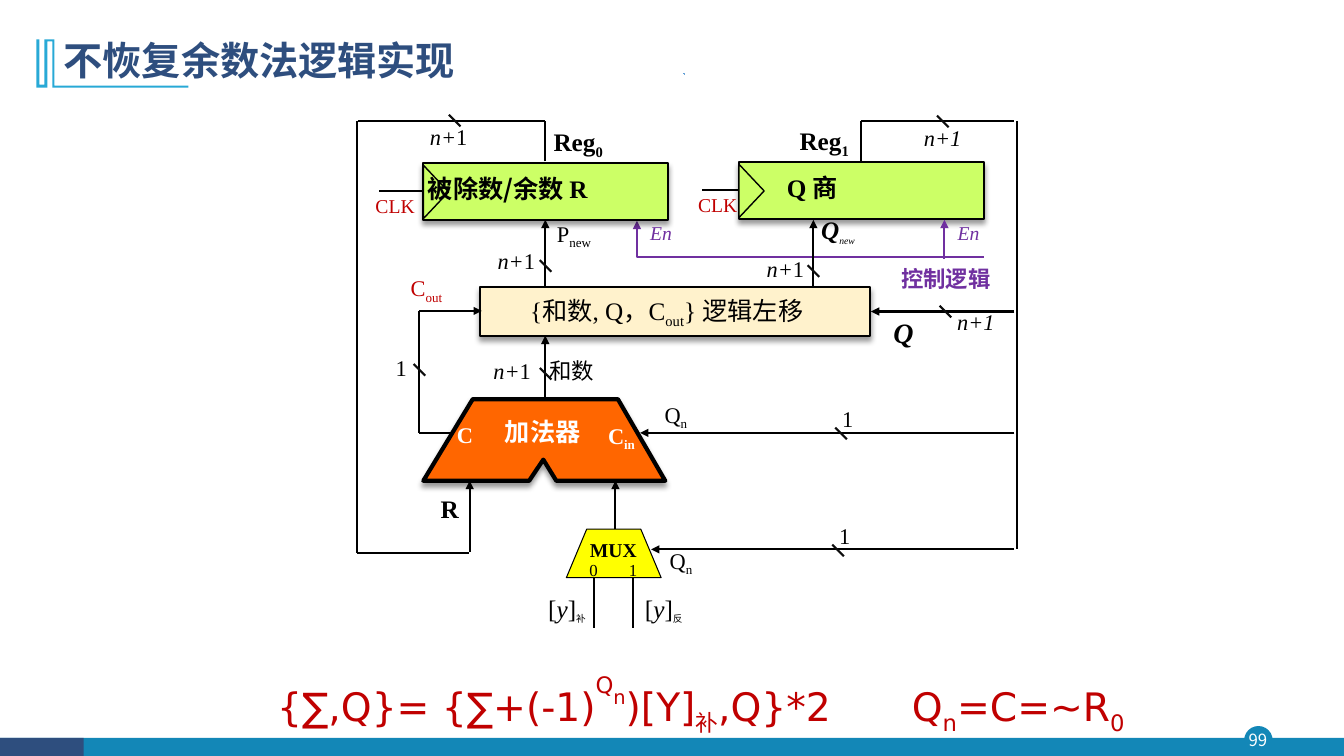
from dataclasses import dataclass
from typing import NamedTuple, Optional

from lxml.etree import SubElement
from pptx import Presentation
from pptx.dml.color import RGBColor
from pptx.enum.shapes import MSO_CONNECTOR, MSO_SHAPE
from pptx.enum.text import MSO_ANCHOR, PP_ALIGN
from pptx.oxml.ns import qn
from pptx.util import Pt

COLORS = {"black": "000000", "tick": "0D0D0D", "white": "FFFFFF", "red": "C00000",
          "purple": "7030A0", "navy": "2E4E7E", "teal": "1387B7", "sky": "28A9D6",
          "dot": "5B9BD5", "lime": "CCFF66", "cream": "FFF2CC", "orange": "FF6600",
          "yellow": "FFFF00"}
SERIF, CJK, SANS = "Times New Roman", "Noto Sans CJK SC", "DejaVu Sans"


class Run(NamedTuple):
    text: str
    style: str = ""  # "b" bold, "i" italic
    base: int = 0  # baseline shift in percent
    size: Optional[float] = None
    font: Optional[str] = None


@dataclass
class Label:
    x: float
    y: float
    runs: list
    size: float = 16
    color: str = "black"
    w: float = 46
    h: float = 22
    font: str = SERIF
    align: PP_ALIGN = PP_ALIGN.LEFT
    spacing: float = 1


@dataclass
class Wire:
    x1: float
    y1: float
    x2: float
    y2: float
    arrow: bool = False
    color: str = "black"


@dataclass
class Register:
    x: float
    y: float
    clk_x: float
    inset: float
    runs: list
    marker_fill: Optional[str] = None


def rgb(name: str) -> RGBColor:
    return RGBColor.from_string(COLORS[name])


def add_runs(p, runs: list, size: float, color: str, font: str) -> None:
    for run in runs:
        r = p.add_run()
        r.text = run.text
        f = r.font
        f.name, f.size = run.font or font, Pt(run.size or size)
        f.bold, f.italic = "b" in run.style, "i" in run.style
        f.color.rgb = rgb(color)
        rPr = r._r.get_or_add_rPr()
        SubElement(rPr, qn("a:ea")).set("typeface", CJK)
        if run.base:
            rPr.set("baseline", str(run.base * 1000))


def set_insets(tf, left: float = 0) -> None:
    tf.margin_left, tf.margin_right = Pt(left), 0
    tf.margin_top = tf.margin_bottom = 0


def add_label(shapes, lb: Label):
    tf = shapes.add_textbox(Pt(lb.x), Pt(lb.y), Pt(lb.w), Pt(lb.h)).text_frame
    tf.word_wrap = True
    set_insets(tf)
    p = tf.paragraphs[0]
    p.alignment, p.line_spacing = lb.align, lb.spacing
    add_runs(p, lb.runs, lb.size, lb.color, lb.font)
    return p


def paint(sp, fill: Optional[str], line: Optional[str] = None, width: float = 1.5,
          shadow: bool = False) -> None:
    sp.shadow.inherit = False
    if fill:
        sp.fill.solid()
        sp.fill.fore_color.rgb = rgb(fill)
    else:
        sp.fill.background()
    if line:
        sp.line.color.rgb, sp.line.width = rgb(line), Pt(width)
    else:
        sp.line.fill.background()
    if shadow:
        effects = sp._element.spPr.find(qn("a:effectLst"))
        outer = SubElement(effects, qn("a:outerShdw"), blurRad=str(Pt(4)),
                           dist=str(Pt(3)), dir="5400000", rotWithShape="0")
        clr = SubElement(outer, qn("a:srgbClr"), val=COLORS["black"])
        SubElement(clr, qn("a:alpha"), val="40000")


def add_block(shapes, kind, x: float, y: float, w: float, h: float, *style, **options):
    sp = shapes.add_shape(kind, Pt(x), Pt(y), Pt(w), Pt(h))
    paint(sp, *style, **options)
    return sp


def add_outline(shapes, points: list, close: bool = True):
    pts = [(Pt(x), Pt(y)) for x, y in points]
    builder = shapes.build_freeform(*pts[0], scale=1.0)
    builder.add_line_segments(pts[1:], close=close)
    return builder.convert_to_shape()


def add_arrowhead(sp, end: str) -> None:
    SubElement(sp.line._get_or_add_ln(), qn(f"a:{end}"), type="triangle")


def add_wire(shapes, wire: Wire, kind=MSO_CONNECTOR.STRAIGHT, width: float = 1.5) -> None:
    cn = shapes.add_connector(kind, Pt(wire.x1), Pt(wire.y1), Pt(wire.x2), Pt(wire.y2))
    cn.line.color.rgb, cn.line.width = rgb(wire.color), Pt(width)
    if wire.arrow:
        add_arrowhead(cn, "tailEnd")
    SubElement(cn._element.spPr, qn("a:effectLst"))


def add_register(shapes, reg: Register) -> None:
    """Draw a register box with its clock marker, clock wire and CLK label."""
    sp = add_block(shapes, MSO_SHAPE.RECTANGLE, reg.x, reg.y, 175, 40.3, "lime", "black",
                   shadow=True)
    tf = sp.text_frame
    set_insets(tf, reg.inset)
    tf.vertical_anchor = MSO_ANCHOR.MIDDLE
    p = tf.paragraphs[0]
    p.alignment, p.line_spacing = PP_ALIGN.JUSTIFY, 0.8
    add_runs(p, reg.runs, 18, "black", SERIF)
    marker = add_block(shapes, MSO_SHAPE.ISOSCELES_TRIANGLE, reg.x - 10.1, reg.y + 11.5,
                       38.2, 18, reg.marker_fill, "black", 1)
    marker.rotation = 90
    add_wire(shapes, Wire(reg.x, reg.y + 20, reg.clk_x, reg.y + 20))
    add_label(shapes, Label(reg.clk_x - 2.5, reg.y + 22.2, [Run("CLK")], 14, "red"))


REGISTERS = [
    Register(527.8, 115.9, 501.1, 34.3, [Run("Q ", "b"), Run("商", "b", font=CJK)], "lime"),
    Register(302.4, 116.6, 270.7, 3.3, [Run("被除数/余数 ", "b", font=CJK), Run("R", "b")]),
]
WIRES = [
    Wire(674.6, 185, 674.6, 157, True, "purple"),
    # results into the registers
    Wire(389.5, 205.2, 389.5, 157, True), Wire(581, 205.2, 581, 157, True),
    # Reg0 feedback to the adder
    Wire(389.5, 115.2, 389.5, 86.4), Wire(255.6, 86.4, 389.5, 86.4),
    Wire(254.9, 86.4, 254.9, 395.3), Wire(334.8, 395.3, 254.9, 395.3),
    Wire(335.5, 394.6, 335.5, 343.4, True),
    # sum, shifted quotient, multiplexer
    Wire(389.5, 285.1, 389.5, 239.8, True), Wire(724.6, 222.5, 622.1, 222.5, True),
    Wire(439.6, 378, 439.6, 343.4, True),
    Wire(424.1, 412.6, 424.1, 448.6), Wire(452.2, 412.6, 452.2, 448.6),
    # carry in and carry out
    Wire(724.6, 309.2, 457.2, 309.2, True), Wire(299.5, 222.1, 344.2, 222.1, True),
    Wire(299.5, 222.1, 299.5, 309.2), Wire(322.6, 309.2, 299.5, 309.2),
    # Reg1 feedback
    Wire(614.9, 86.4, 724.6, 86.4), Wire(726.5, 86.4, 726.5, 392.4),
    Wire(724.6, 392.4, 465.1, 392.4, True), Wire(614.9, 115.2, 614.9, 86.4),
]
TICK = 8.3
TICKS = [(385.6, 185.8), (576.9, 189.4), (320.6, 82), (385.6, 262.8), (671.2, 218.4),
         (596.6, 305.5), (295.4, 260), (669.3, 82.6), (594.5, 389)]

BITS = [Run("n+", "i"), Run("1")]
BITS_ITALIC = [Run("n+1", "i")]
QN = [Run("Q"), Run("n", base=-25)]
CENTERED = {"align": PP_ALIGN.CENTER, "spacing": 0.8}
LABELS = [
    Label(325.4, 213.1, [Run("{和数, Q，C"), Run("out", base=-25), Run("} 逻辑左移")], 18,
          w=301.7, **CENTERED),
    Label(620.6, 193, [Run("控制逻辑", "b")], 16, "purple", 110.2, 36, CJK, **CENTERED),
    Label(464.4, 157.7, [Run("En", "i")], 14, "purple"),
    Label(684, 157.7, [Run("En", "i")], 14, "purple"),
    Label(571.1, 89.3, [Run("Reg", "b"), Run("1", "b", -25)], 18, w=54),
    Label(395.4, 90, [Run("Reg", "b"), Run("0", "b", -25)], 18, w=54),
    Label(355.4, 176.4, BITS), Label(547.6, 182.2, BITS), Label(307.1, 87.8, BITS),
    Label(352.5, 254.9, BITS),
    Label(683.7, 220.3, BITS_ITALIC), Label(659.9, 88.6, BITS_ITALIC),
    Label(397.8, 157, [Run("P"), Run("new", base=-25)]),
    Label(586.5, 153.4, [Run("Q", "bi", size=18), Run("new", "i", -25, 12)]),
    Label(314.8, 352.1, [Run("R", "b")], 18),
    Label(392.5, 254.9, [Run("和数")]),
    Label(620.6, 229.7, [Run("Q", "bi")], 20, w=49.7, h=30, **CENTERED),
    Label(474.7, 286.2, QN), Label(478.3, 390.6, QN),
    Label(601.6, 289.4, [Run("1")]), Label(599.4, 373, [Run("1")]),
    Label(282.6, 252.7, [Run("1")]),
    Label(293.4, 195.8, [Run("C"), Run("out", base=-25)], color="red"),
]
ADDER_LABELS = [
    Label(360.7, 297.4, [Run("加法器", "b")], 18, "white", 60, font=CJK),
    Label(434.3, 301.3, [Run("C", "b"), Run("in", "b", -25)], 16, "white", 32),
    Label(326.3, 301, [Run("C", "b")], 16, "white", 20),
]
MUX_LABELS = [Label(414, 387.4, [Run("MUX", "b")], 14, w=48.2, **CENTERED)]
for digit, digit_x, form, operand_x in [("0", 414.7, "补", 380.2), ("1", 442.8, "反", 449.3)]:
    MUX_LABELS += [
        Label(digit_x, 402.5, [Run(digit)], 12, w=18.7, h=18, **CENTERED),
        Label(operand_x, 427.7, [Run("["), Run("y", "i"), Run("]"), Run(form, "", -25, 12)],
              18, w=49.7, h=30, **CENTERED),
    ]
FORMULA = Label(198, 470.2, [
    Run("{∑,Q}= {∑+(-1)"), Run("Q", base=70), Run("n", base=50, size=24), Run(")[Y]"),
    Run("补", base=-25), Run(",Q}*2\tQ"), Run("n", base=-25), Run("=C=~R"),
    Run("0", base=-25)], 28, "red", 675, 41, SANS, spacing=1.2)

BRACKET = [(38.9, 28.1), (38.9, 61.2), (134.6, 61.2), (134.6, 62.6), (37.4, 62.6),
           (37.4, 29.5), (33.8, 29.5), (33.8, 62.6), (25.9, 62.6), (25.9, 28.1),
           (28.1, 28.1), (28.1, 60.5), (31.7, 60.5), (31.7, 28.1)]
ADDER = [(302.4, 343.4), (337.7, 285.1), (441.4, 285.1), (475.2, 343.4), (397.4, 343.4),
         (388.1, 328.3), (378, 343.4)]


def add_frame(slide) -> None:
    shapes = slide.shapes
    add_block(shapes, MSO_SHAPE.OVAL, 889.2, 519.1, 19.4, 19.4, "teal", "teal", 1)
    add_block(shapes, MSO_SHAPE.RECTANGLE, 0, 527, 960, 13, "teal")
    add_block(shapes, MSO_SHAPE.RECTANGLE, 0, 527, 59.8, 13, "navy")
    add_label(shapes, Label(887, 521.3, [Run("99")], 12, "white", 23, 18, CJK,
                            PP_ALIGN.CENTER))
    paint(add_outline(shapes, BRACKET), "sky")
    title = shapes.title
    title.left, title.top, title.width, title.height = Pt(38.2), Pt(20.2), Pt(828), Pt(49)
    title.text_frame.vertical_anchor = MSO_ANCHOR.MIDDLE
    p = title.text_frame.paragraphs[0]
    p.alignment, p.line_spacing = PP_ALIGN.LEFT, 0.9
    add_runs(p, [Run("不恢复余数法逻辑实现", "b")], 28, "navy", CJK)
    add_wire(shapes, Wire(488.9, 53.3, 488.2, 52.6, color="dot"), MSO_CONNECTOR.ELBOW, 0.5)


def main() -> None:
    prs = Presentation()
    prs.slide_width, prs.slide_height = Pt(960), Pt(540)
    slide = prs.slides.add_slide(prs.slide_layouts[5])
    shapes = slide.shapes
    add_frame(slide)
    formula = add_label(shapes, FORMULA)
    tabs = SubElement(formula._p.get_or_add_pPr(), qn("a:tabLst"))
    SubElement(tabs, qn("a:tab"), pos=str(Pt(453.4)), algn="l")
    add_block(shapes, MSO_SHAPE.RECTANGLE, 342.7, 205.2, 278.6, 34.6, "cream", "black",
              shadow=True)
    enable = add_outline(shapes, [(455, 157.7), (455, 183.6), (702.7, 183.6)], close=False)
    paint(enable, None, "purple")
    add_arrowhead(enable, "headEnd")
    for reg in REGISTERS:
        add_register(shapes, reg)
    mux = add_block(shapes, MSO_SHAPE.TRAPEZOID, 404.6, 378, 67.7, 34.6, "yellow", "black", 0.75)
    mux.adjustments[0] = 0.419
    for wire in WIRES:
        add_wire(shapes, wire)
    for x, y in TICKS:
        add_wire(shapes, Wire(x, y, x + TICK, y + TICK, color="tick"))
    paint(add_outline(shapes, ADDER), "orange", "black", 3, shadow=True)
    for lb in LABELS + ADDER_LABELS + MUX_LABELS:
        add_label(shapes, lb)
    prs.save("out.pptx")


if __name__ == "__main__":
    main()
